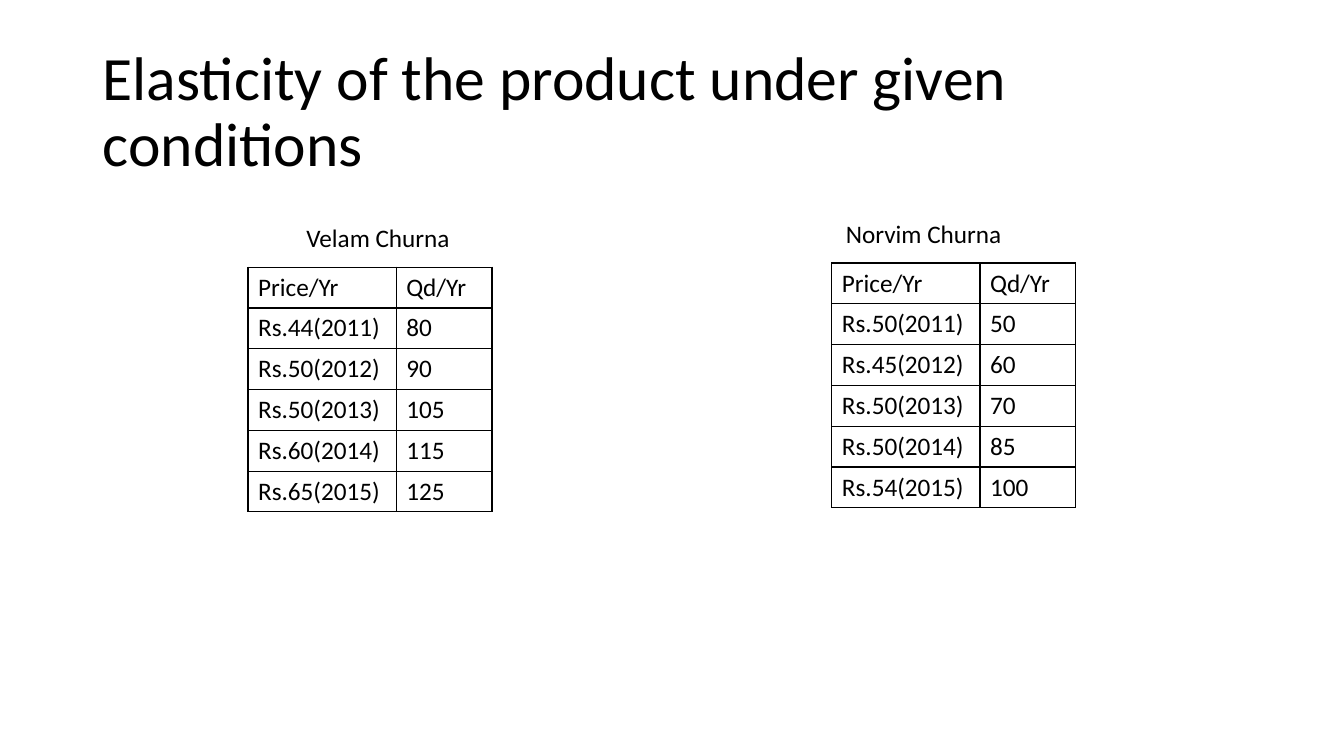
from lxml.etree import SubElement
from pptx import Presentation
from pptx.dml.color import RGBColor
from pptx.enum.text import MSO_ANCHOR
from pptx.oxml.ns import qn
from pptx.util import Inches, Pt

INK = "000000"
FONT = "Calibri"
PRICE_WIDTH, QUANTITY_WIDTH, ROW_HEIGHT = 1.47, 0.95, 0.405
HEADINGS = ("Price/Yr", "Qd/Yr")
YEARS = range(2011, 2016)


def color(hex_code):
    """Turn a hex string into a colour."""
    return RGBColor.from_string(hex_code)


def add_words(frame, words, size):
    """Write one run into the first paragraph of a text frame."""
    paragraph = frame.paragraphs[0]
    run = paragraph.add_run()
    run.text = words
    run.font.name = FONT
    run.font.size = Pt(size)
    run.font.color.rgb = color(INK)
    return paragraph


def add_label(slide, box, words, size):
    """Place wrapped text in a box and return its frame."""
    frame = slide.shapes.add_textbox(*map(Inches, box)).text_frame
    frame.word_wrap = True
    add_words(frame, words, size)
    return frame


def add_title(slide, box, words):
    """Place the slide heading, centred vertically in its box."""
    frame = add_label(slide, box, words, 44)
    frame.vertical_anchor = MSO_ANCHOR.MIDDLE
    frame.paragraphs[0].line_spacing = 0.9


def outline_cell(cell):
    """Draw a thin line on each side of a cell and clear its fill."""
    properties = cell._tc.get_or_add_tcPr()
    for side in ("a:lnL", "a:lnR", "a:lnT", "a:lnB"):
        border = SubElement(properties, qn(side), w=str(Pt(1)))
        ink = SubElement(border, qn("a:solidFill"))
        SubElement(ink, qn("a:srgbClr"), val=INK)
    cell.fill.background()


def add_demand_table(slide, left, top, prices, quantities):
    """Place a table of yearly price and quantity demanded."""
    records = [HEADINGS] + [
        (f"Rs.{price}({year})", str(quantity))
        for price, year, quantity in zip(prices, YEARS, quantities)
    ]
    widths = (PRICE_WIDTH, QUANTITY_WIDTH)
    box = (left, top, sum(widths), ROW_HEIGHT * len(records))
    demand = slide.shapes.add_table(
        len(records), len(widths), *map(Inches, box)
    ).table
    demand.first_row = demand.horz_banding = False
    for column, width in zip(demand.columns, widths):
        column.width = Inches(width)
    for row, record in enumerate(records):
        for column, words in enumerate(record):
            cell = demand.cell(row, column)
            add_words(cell.text_frame, words, 18)
            outline_cell(cell)


def add_product(slide, left, top, indent, name, prices, quantities):
    """Place a product name with its demand table below."""
    add_label(slide, (left + indent, top, 2.08, 0.4), name, 18)
    add_demand_table(slide, left, top + 0.49, prices, quantities)


def main():
    """Build and save the slide."""
    deck = Presentation()
    deck.slide_width, deck.slide_height = Inches(13.33), Inches(7.5)
    slide = deck.slides.add_slide(deck.slide_layouts[6])
    add_title(slide, (0.92, 0.4, 11.5, 1.45),
              "Elasticity of the product under given conditions")
    add_product(slide, 2.46, 2.16, 0.48, "Velam Churna",
                (44, 50, 50, 60, 65), (80, 90, 105, 115, 125))
    add_product(slide, 8.25, 2.12, 0.04, "Norvim Churna",
                (50, 45, 50, 50, 54), (50, 60, 70, 85, 100))
    deck.save("out.pptx")


if __name__ == "__main__":
    main()
